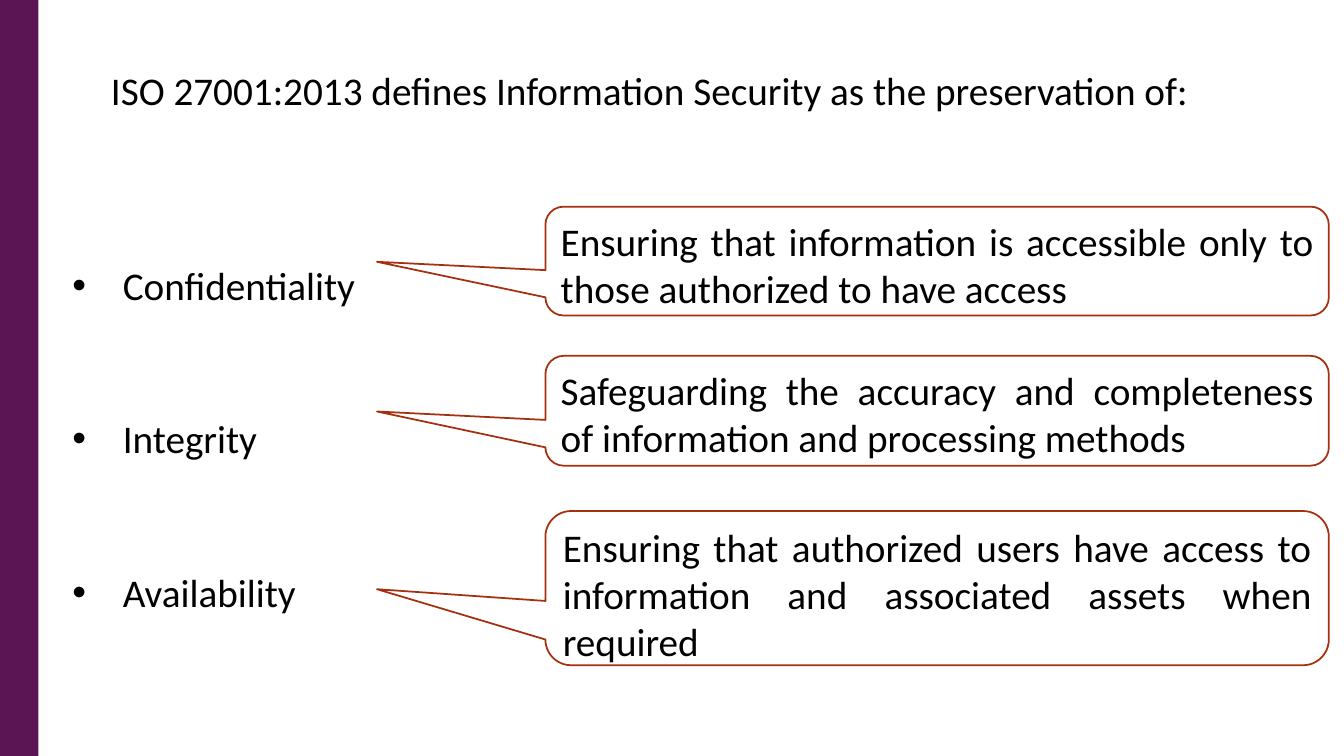
from dataclasses import dataclass

from lxml.etree import SubElement
from pptx import Presentation
from pptx.dml.color import RGBColor
from pptx.enum.shapes import MSO_SHAPE
from pptx.enum.text import MSO_ANCHOR, PP_ALIGN
from pptx.oxml.ns import qn
from pptx.util import Inches, Pt

PURPLE, RUST, WHITE, BLACK = "5B1554", "A53010", "FFFFFF", "000000"
POINTER = (-0.715, 0.007, 0.167)


@dataclass
class Principle:
    name: str
    definition: str
    top: float
    height: float


PRINCIPLES = [
    Principle("Confidentiality",
              "Ensuring that information is accessible only to those authorized to have access",
              2.05, 1.08),
    Principle("Integrity",
              "Safeguarding the accuracy and completeness of information and processing methods",
              3.53, 1.09),
    Principle("Availability",
              "Ensuring that authorized users have access to information and associated assets when required",
              5.07, 1.53),
]


def rgb(value: str) -> RGBColor:
    return RGBColor.from_string(value)


def add_bullet(paragraph) -> None:
    properties = paragraph._p.get_or_add_pPr()
    properties.set("marL", str(Inches(0.5)))
    properties.set("indent", str(Inches(-0.5)))
    SubElement(properties, qn("a:buFont")).set("typeface", "Arial")
    SubElement(properties, qn("a:buChar")).set("char", "•")


def write(frame, *lines: str, align=PP_ALIGN.LEFT, spacing: float = 1,
          before: float = 0, bulleted: bool = False) -> None:
    frame.word_wrap = True
    frame.vertical_anchor = MSO_ANCHOR.TOP
    for index, line in enumerate(lines):
        paragraph = frame.add_paragraph() if index else frame.paragraphs[0]
        paragraph.alignment = align
        paragraph.line_spacing = spacing
        paragraph.space_before = Pt(before)
        if bulleted:
            add_bullet(paragraph)
        run = paragraph.add_run()
        run.text = line
        run.font.name = "Calibri"
        run.font.size = Pt(28)
        run.font.color.rgb = rgb(BLACK)


def add_filled(slide, kind, left: float, top: float, width: float, height: float, fill: str):
    shape = slide.shapes.add_shape(kind, Inches(left), Inches(top), Inches(width), Inches(height))
    shape.shadow.inherit = False
    shape.fill.solid()
    shape.fill.fore_color.rgb = rgb(fill)
    return shape


def add_definition(slide, principle: Principle) -> None:
    callout = add_filled(slide, MSO_SHAPE.ROUNDED_RECTANGULAR_CALLOUT,
                         5.41, principle.top, 7.77, principle.height, WHITE)
    callout.line.color.rgb = rgb(RUST)
    callout.line.width = Pt(1.25)
    for index, value in enumerate(POINTER):
        callout.adjustments[index] = value
    write(callout.text_frame, principle.definition, align=PP_ALIGN.JUSTIFY)


def main() -> None:
    prs = Presentation()
    prs.slide_width, prs.slide_height = Inches(13.33), Inches(7.5)
    slide = prs.slides.add_slide(prs.slide_layouts[5])

    # Side band
    band = add_filled(slide, MSO_SHAPE.RECTANGLE, 0, 0, 0.38, 7.5, PURPLE)
    band.line.fill.background()

    # Title
    title = slide.shapes.title
    title.left, title.top = Inches(1), Inches(0.37)
    title.width, title.height = Inches(11.01), Inches(0.73)
    write(title.text_frame,
          "ISO 27001:2013 defines Information Security as the preservation of:",
          spacing=1.5, before=5.6)

    # Principle names
    names = slide.shapes.add_textbox(Inches(0.62), Inches(1.56), Inches(3.04), Inches(4.67))
    write(names.text_frame, *(principle.name for principle in PRINCIPLES),
          spacing=3.1, before=5.6, bulleted=True)

    # Definitions
    for principle in PRINCIPLES:
        add_definition(slide, principle)

    prs.save("out.pptx")


if __name__ == "__main__":
    main()
